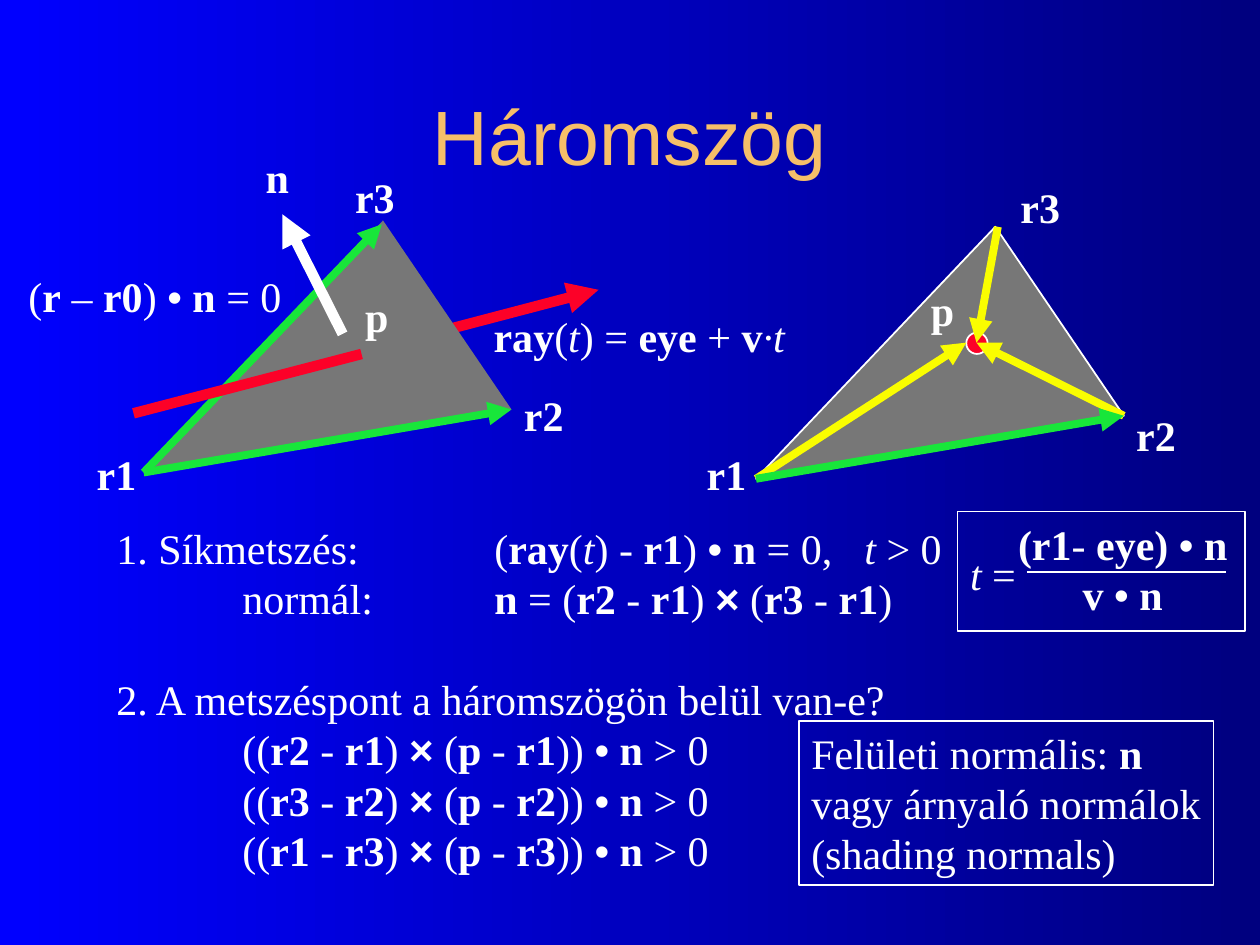
from lxml.etree import SubElement
from pptx import Presentation
from pptx.dml.color import RGBColor
from pptx.enum.shapes import MSO_CONNECTOR, MSO_SHAPE
from pptx.enum.text import MSO_ANCHOR, MSO_AUTO_SIZE, PP_ALIGN
from pptx.oxml.ns import qn
from pptx.util import Pt

C = {"left": "0000FF", "right": "00007F", "title": "F6BF69", "text": "FFFFFF",
     "face": "777777", "ray": "FC0128", "inner": "FAFD00", "edge": "18E63A"}
SERIF, SANS = "Times New Roman", "Arial"

# In all texts *...* is bold and _..._ is italic.
TITLE = "Háromszög"
STEPS = [
    "1. Síkmetszés:\t(*ray*(_t_) - *r1*) • *n* = 0,\t_t_ > 0",
    "\tnormál:\t*n* = (*r2* - *r1*) *×* (*r3* - *r1*)",
    "2. A metszéspont a háromszögön belül van-e?",
] + [f"\t((*{b}* - *{a}*) *×* (*p* - *{a}*)) • *n* > 0"
     for a, b in (("r1", "r2"), ("r2", "r3"), ("r3", "r1"))]
STEP_TABS = (72, 216, 427.5)
QUESTION, QUESTION_GAP = 2, 28.8
NORMALS = ["Felületi normális: *n*", "vagy árnyaló normálok", "(shading normals)"]
FRACTION = ["*(r1*- *eye)* • *n*", "*v* • *n*"]

LABELS = [  # text, left, top, width
    ("*r1*", 48.2, 252.9, 41.8), ("*r2*", 292.3, 218.9, 41.8),
    ("*r3*", 195.8, 94.3, 41.8), ("*p*", 201.6, 162.2, 30), ("*n*", 144.7, 82.8, 30),
    ("*r1*", 396.7, 252.9, 41.8), ("*r2*", 642.2, 230.4, 41.8),
    ("*r3*", 576, 100.1, 41.8), ("*p*", 524.9, 159.1, 30),
    ("(*r* – *r0*) • *n* = 0", 9.2, 151.2, 164),
    ("*ray*(_t_) = *eye* + *v*_·t_", 275, 173.7, 184),
    ("_t_ =", 547.2, 309.8, 46),
]

# Triangle corners measured from r1
TO_R2, TO_R3 = (210.2, -36), (136.8, -144)
LEFT_R1, RIGHT_R1 = (82.1, 270), (432, 273.6)


def corners(r1):
    return [r1] + [(r1[0] + dx, r1[1] + dy) for dx, dy in (TO_R2, TO_R3)]


def rgb(name):
    return RGBColor.from_string(C[name])


def set_line(shape, color, width):
    shape.line.color.rgb = rgb(color)
    shape.line.width = Pt(width)


def split_styles(text):
    """Yield (text, bold, italic, font) pieces of marked-up text."""
    bold = italic = False
    piece = ""
    for ch in text:
        if ch in "*_•×":
            if piece:
                yield piece, bold, italic, SERIF
            piece = ""
            if ch == "*":
                bold = not bold
            elif ch == "_":
                italic = not italic
            else:
                yield ch, bold, italic, SANS
        else:
            piece += ch
    if piece:
        yield piece, bold, italic, SERIF


def add_text(s, lines, x, y, w, h, align=PP_ALIGN.LEFT, wrap=False, tabs=()):
    box = s.shapes.add_textbox(Pt(x), Pt(y), Pt(w), Pt(h))
    tf = box.text_frame
    tf.word_wrap = wrap
    tf.auto_size = MSO_AUTO_SIZE.SHAPE_TO_FIT_TEXT
    for i, line in enumerate(lines):
        p = tf.paragraphs[0] if i == 0 else tf.add_paragraph()
        p.alignment = align
        if tabs:
            tab_list = SubElement(p._p.get_or_add_pPr(), qn("a:tabLst"))
            for pos in tabs:
                SubElement(tab_list, qn("a:tab"), pos=str(Pt(pos)), algn="l")
        for text, bold, italic, font in split_styles(line):
            r = p.add_run()
            r.text = text
            fmt = {"name": font, "size": Pt(24), "bold": bold, "italic": italic}
            for key, value in fmt.items():
                setattr(r.font, key, value)
            r.font.color.rgb = rgb("text")
    return box


def add_line(s, start, end, color, width, arrow=True):
    points = [Pt(v) for v in (*start, *end)]
    line = s.shapes.add_connector(MSO_CONNECTOR.STRAIGHT, *points)
    set_line(line, color, width)
    if arrow:
        SubElement(line.line._get_or_add_ln(), qn("a:tailEnd"), type="triangle")
    SubElement(line._element.spPr, qn("a:effectLst"))


def add_triangle(s, r1, outlined):
    points = [(Pt(x), Pt(y)) for x, y in corners(r1)]
    builder = s.shapes.build_freeform(*points[0], scale=1.0)
    builder.add_line_segments(points[1:], close=True)
    face = builder.convert_to_shape()
    face.shadow.inherit = False
    face.fill.solid()
    face.fill.fore_color.rgb = rgb("face")
    if outlined:
        set_line(face, "text", 1)
    else:
        face.line.fill.background()


def add_preset(s, kind, x, y, w, h, fill=None):
    shape = s.shapes.add_shape(kind, Pt(x), Pt(y), Pt(w), Pt(h))
    shape.shadow.inherit = False
    if fill:
        shape.fill.solid()
        shape.fill.fore_color.rgb = rgb(fill)
    else:
        shape.fill.background()
    set_line(shape, "text", 1)


def add_title(s):
    tf = s.shapes.add_textbox(Pt(54), Pt(31.7), Pt(612), Pt(90)).text_frame
    tf.word_wrap = True
    tf.vertical_anchor = MSO_ANCHOR.MIDDLE
    p = tf.paragraphs[0]
    p.alignment = PP_ALIGN.CENTER
    r = p.add_run()
    r.text = TITLE
    r.font.name, r.font.size = SANS, Pt(44)
    r.font.color.rgb = rgb("title")


def add_ray_diagram(s):
    r1, r2, r3 = corners(LEFT_R1)
    add_line(s, (139, 218.9), (342, 165.6), "ray", 6)
    add_triangle(s, r1, outlined=False)
    add_line(s, r1, r2, "edge", 4.5)
    add_line(s, r1, (r3[0] - 0.7, r3[1] + 2.2), "edge", 4.5)
    add_line(s, (76.3, 236.2), (206.6, 202.3), "ray", 6, arrow=False)
    add_line(s, (195.8, 190.8), (161.3, 122.4), "text", 6)


def add_inside_diagram(s):
    r1, r2, r3 = corners(RIGHT_R1)
    add_triangle(s, r1, outlined=True)
    add_preset(s, MSO_SHAPE.OVAL, 552.2, 190.1, 12.2, 12.2, "ray")
    add_line(s, r1, (552.2, 195.8), "inner", 4.5)
    add_line(s, r2, (558, 195.8), "inner", 4.5)
    add_line(s, r1, r2, "edge", 4.5)
    add_line(s, (r3[0] + 1.4, r3[1]), (558, 195.8), "inner", 4.5)


def main():
    prs = Presentation()
    prs.slide_width, prs.slide_height = Pt(720), Pt(540)
    s = prs.slides.add_slide(prs.slide_layouts[6])
    fill = s.background.fill
    fill.gradient()
    fill.gradient_angle = 0
    for stop, name in zip(fill.gradient_stops, ("left", "right")):
        stop.color.rgb = rgb(name)

    add_title(s)
    add_ray_diagram(s)
    add_inside_diagram(s)
    for text, x, y, w in LABELS:
        add_text(s, [text], x, y, w, 36)

    steps = add_text(s, STEPS, 59.4, 294.8, 490, 208.8, tabs=STEP_TABS)
    steps.text_frame.paragraphs[QUESTION].space_before = Pt(QUESTION_GAP)
    set_line(add_text(s, NORMALS, 456.5, 412, 236.9, 93.6), "text", 1)
    add_text(s, FRACTION, 566, 292.6, 151.2, 64.8, PP_ALIGN.CENTER, wrap=True)
    add_line(s, (586.8, 326.9), (700.6, 326.9), "text", 1, arrow=False)
    add_preset(s, MSO_SHAPE.RECTANGLE, 547.2, 292.3, 164.2, 68.4)
    prs.save("out.pptx")


if __name__ == "__main__":
    main()
